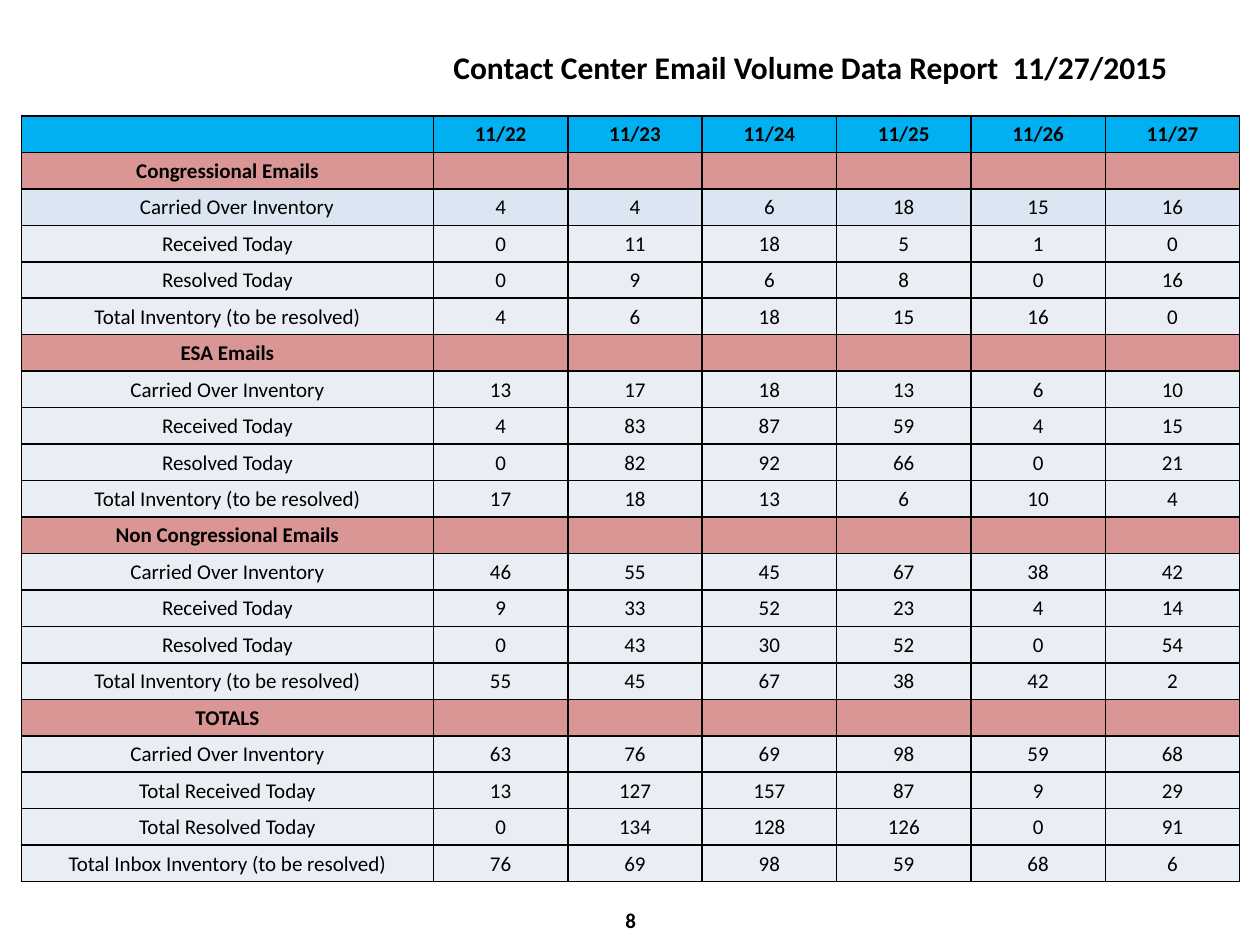
import pptx
import pptx.util
import pptx.dml.color
import pptx.enum.text
import pptx.oxml
import pptx.oxml.ns

Inches = pptx.util.Inches
Pt = pptx.util.Pt
PP_ALIGN = pptx.enum.text.PP_ALIGN
MSO_ANCHOR = pptx.enum.text.MSO_ANCHOR

COLORS = {"text": "000000", "border": "000000", "header": "00B0F0",
          "section": "D99694", "highlight": "DCE6F2", "body": "E9EDF4"}

DATES = ["11/22", "11/23", "11/24", "11/25", "11/26", "11/27"]
LABELS = ["Carried Over Inventory", "Received Today", "Resolved Today",
          "Total Inventory (to be resolved)"]
TOTAL_LABELS = ["Carried Over Inventory", "Total Received Today", "Total Resolved Today",
                "Total Inbox Inventory (to be resolved)"]
SECTIONS = [
    ("Congressional Emails", LABELS, [
        [4, 4, 6, 18, 15, 16],
        [0, 11, 18, 5, 1, 0],
        [0, 9, 6, 8, 0, 16],
        [4, 6, 18, 15, 16, 0]]),
    ("ESA Emails", LABELS, [
        [13, 17, 18, 13, 6, 10],
        [4, 83, 87, 59, 4, 15],
        [0, 82, 92, 66, 0, 21],
        [17, 18, 13, 6, 10, 4]]),
    ("Non Congressional Emails", LABELS, [
        [46, 55, 45, 67, 38, 42],
        [9, 33, 52, 23, 4, 14],
        [0, 43, 30, 52, 0, 54],
        [55, 45, 67, 38, 42, 2]]),
    ("TOTALS", TOTAL_LABELS, [
        [63, 76, 69, 98, 59, 68],
        [13, 127, 157, 87, 9, 29],
        [0, 134, 128, 126, 0, 91],
        [76, 69, 98, 59, 68, 6]]),
]


class Report:
    """Holds the report style and the slide being built."""

    def __init__(self, slide, font="Calibri", size=12):
        self.s = slide
        self.font = font
        self.size = size

    def add_text(self, p, text, bold, size=None, align=PP_ALIGN.CENTER):
        p.alignment = align
        size = size or self.size
        if not text:
            p._p.append(pptx.oxml.parse_xml(
                f'<a:endParaRPr {pptx.oxml.ns.nsdecls("a")} sz="{size * 100}"/>'))
            return
        r = p.add_run()
        r.text = text
        style = {"name": self.font, "size": Pt(size), "bold": bold}
        for key, value in style.items():
            setattr(r.font, key, value)
        r.font.color.rgb = pptx.dml.color.RGBColor.from_string(COLORS["text"])

    def text(self, box, text, size, align, anchor):
        tf = self.s.shapes.add_textbox(*map(Inches, box)).text_frame
        tf.word_wrap = True
        tf.vertical_anchor = anchor
        self.add_text(tf.paragraphs[0], text, True, size, align)

    def border(self, cell):
        tcPr = cell._tc.get_or_add_tcPr()
        for side in ("lnL", "lnR", "lnT", "lnB"):
            tcPr.append(pptx.oxml.parse_xml(
                f'<a:{side} {pptx.oxml.ns.nsdecls("a")} w="{int(Pt(1))}"><a:solidFill>'
                f'<a:srgbClr val="{COLORS["border"]}"/></a:solidFill></a:{side}>'))

    def cell(self, cell, text, fill, bold):
        style = {"margin_left": Inches(0.01), "margin_right": Inches(0.01),
                 "margin_top": Inches(0.01), "margin_bottom": 0,
                 "vertical_anchor": MSO_ANCHOR.MIDDLE}
        for key, value in style.items():
            setattr(cell, key, value)
        self.border(cell)
        cell.fill.solid()
        cell.fill.fore_color.rgb = pptx.dml.color.RGBColor.from_string(COLORS[fill])
        self.add_text(cell.text_frame.paragraphs[0], text, bold)

    def table(self, box, label_width, rows):
        cols = len(rows[0][0])
        table = self.s.shapes.add_table(len(rows), cols, *map(Inches, box)).table
        table.horz_banding = False
        for i, col in enumerate(table.columns):
            col.width = Inches(label_width if i == 0 else (box[2] - label_width) / (cols - 1))
        for i, (values, fill, bold) in enumerate(rows):
            table.rows[i].height = Inches(box[3] / len(rows))
            for j, value in enumerate(values):
                self.cell(table.cell(i, j), str(value), fill, bold)
        return table


def report_rows():
    rows = [([""] + DATES, "header", True)]
    for title, labels, data in SECTIONS:
        rows.append(([title] + [""] * len(DATES), "section", True))
        rows += [([label] + values, "body", False) for label, values in zip(labels, data)]
    rows[2] = (rows[2][0], "highlight", False)
    return rows


def main():
    prs = pptx.Presentation()
    prs.slide_width, prs.slide_height = Inches(10), Inches(7.5)
    report = Report(prs.slides.add_slide(prs.slide_layouts[6]))
    report.text((3.42, 7.1, 3.17, 0.4), "8", 12, PP_ALIGN.CENTER, MSO_ANCHOR.MIDDLE)
    report.text((3.5, 0.33, 6.42, 0.4), "Contact Center Email Volume Data Report  11/27/2015",
                18, PP_ALIGN.LEFT, MSO_ANCHOR.TOP)
    table = report.table((0.17, 0.92, 9.67, 6.08), 3.27, report_rows())
    table.cell(2, 0).margin_left = Inches(0.16)
    prs.save("out.pptx")


if __name__ == "__main__":
    main()
